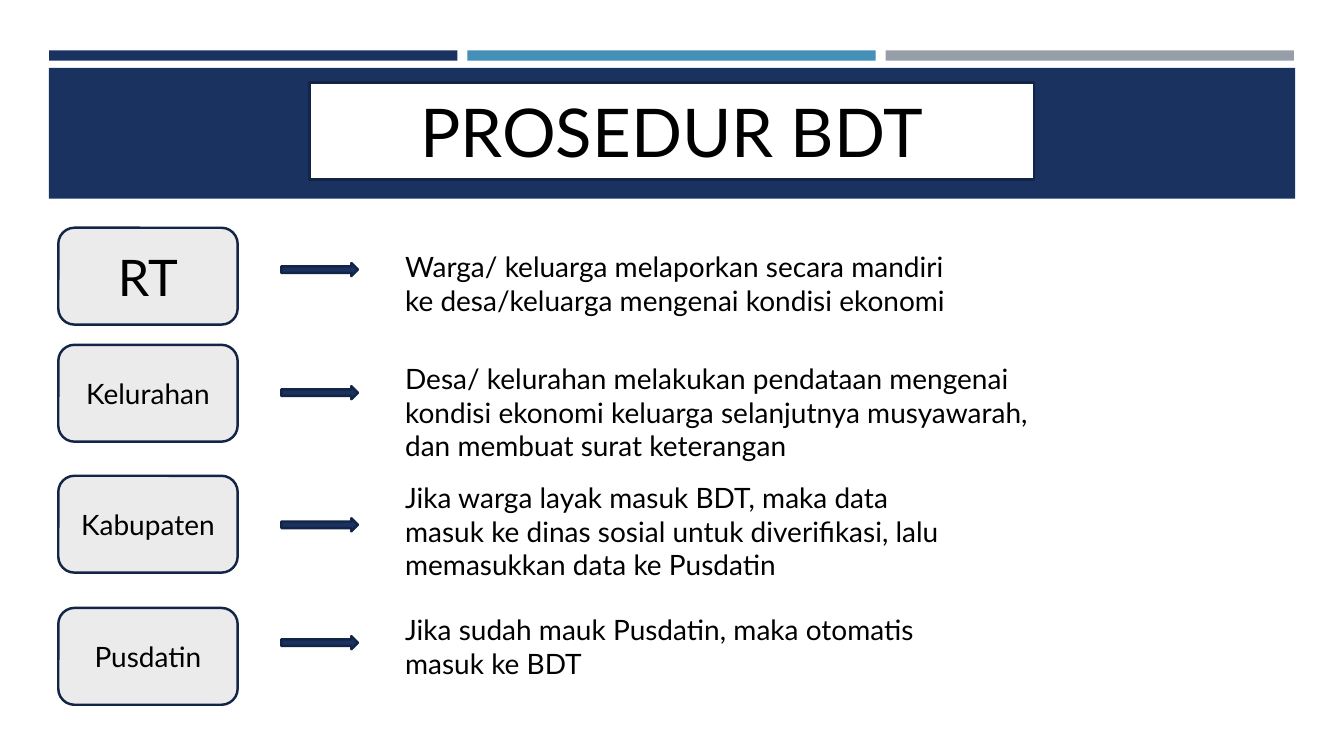
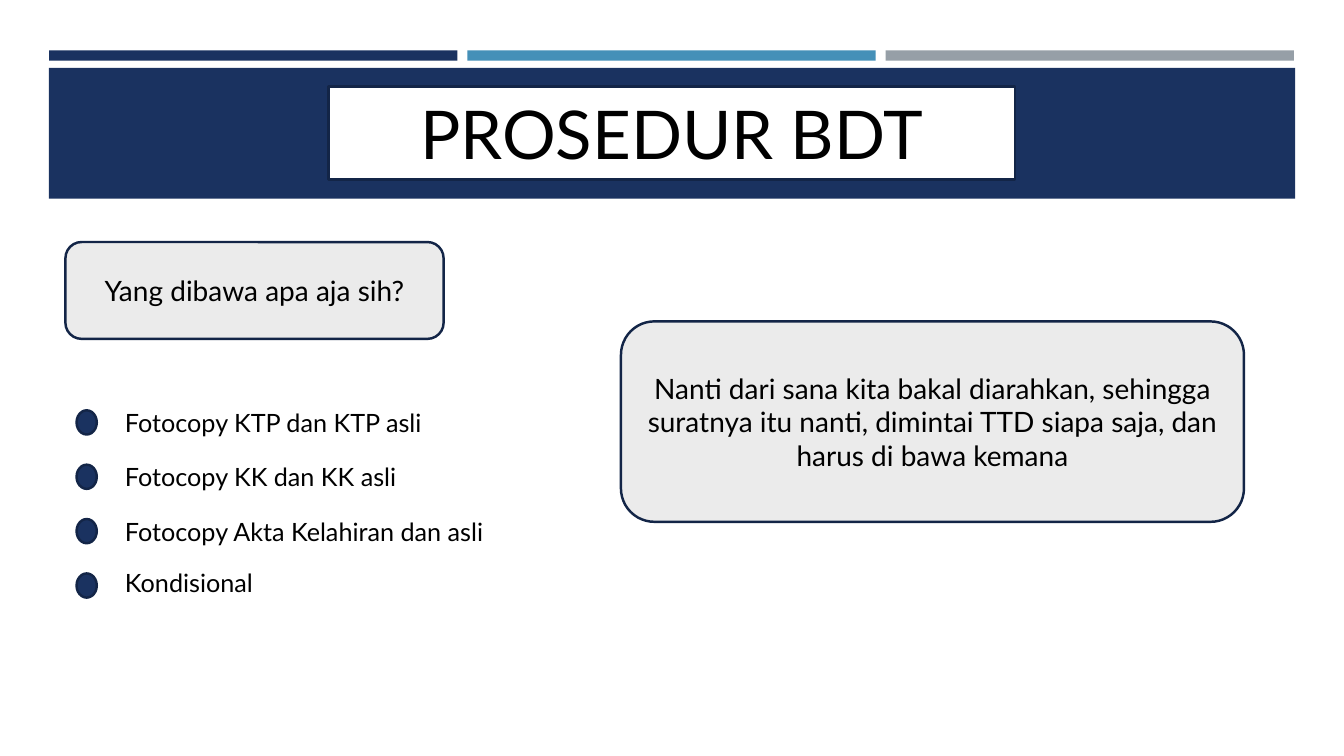
from dataclasses import dataclass

from pptx import Presentation
from pptx.dml.color import RGBColor
from pptx.enum.shapes import MSO_SHAPE
from pptx.enum.text import MSO_ANCHOR, PP_ALIGN
from pptx.util import Cm, Pt

RECTANGLE = MSO_SHAPE.RECTANGLE
ROUNDED = MSO_SHAPE.ROUNDED_RECTANGLE
RIGHT_ARROW = MSO_SHAPE.RIGHT_ARROW
DOT = MSO_SHAPE.FLOWCHART_CONNECTOR
LEFT, CENTER = PP_ALIGN.LEFT, PP_ALIGN.CENTER
TOP, MIDDLE = MSO_ANCHOR.TOP, MSO_ANCHOR.MIDDLE
BLANK_LAYOUT = 6


@dataclass(frozen=True)
class Theme:
    navy: str = "1A3260"
    blue: str = "4590B8"
    gray: str = "969FA7"
    panel: str = "EBEBEB"
    white: str = "FFFFFF"
    ink: str = "000000"
    outline: str = "132547"
    font: str = "Lato"
    title_size: int = 48
    large_size: int = 36
    body_size: int = 20
    item_size: int = 18
    outline_width: float = 1.75


THEME = Theme()

TITLE = "PROSEDUR BDT"
STEPS = [
    ("RT", THEME.large_size, 5.74, 6.63, 6.17, 14.4,
     "Warga/ keluarga melaporkan secara mandiri ke desa/keluarga mengenai kondisi ekonomi"),
    ("Kelurahan", THEME.body_size, 8.69, 9.73, 8.99, 17,
     "Desa/ kelurahan melakukan pendataan mengenai kondisi ekonomi keluarga selanjutnya "
     "musyawarah, dan membuat surat keterangan"),
    ("Kabupaten", THEME.body_size, 11.99, 13.06, 11.99, 14.4,
     "Jika warga layak masuk BDT, maka data masuk ke dinas sosial untuk diverifikasi, lalu "
     "memasukkan data ke Pusdatin"),
    ("Pusdatin", THEME.body_size, 15.32, 16.03, 15.32, 14.4,
     "Jika sudah mauk Pusdatin, maka otomatis masuk ke BDT"),
]
DOCUMENTS = [
    ("Fotocopy KTP dan KTP asli", 10.13),
    ("Fotocopy KK dan KK asli", 11.5),
    ("Fotocopy Akta Kelahiran dan asli", 12.88),
    ("Kondisional", 14.17),
]
QUESTION = "Yang dibawa apa aja sih?"
GUIDANCE = ("Nanti dari sana kita bakal diarahkan, sehingga suratnya itu nanti, "
            "dimintai TTD siapa saja, dan harus di bawa kemana")


def write_text(shape, text, size=THEME.body_size, align=LEFT, anchor=TOP):
    frame = shape.text_frame
    frame.word_wrap = True
    frame.vertical_anchor = anchor
    para = frame.paragraphs[0]
    para.alignment = align
    span = para.add_run()
    span.text = text
    span.font.name = THEME.font
    span.font.size = Pt(size)
    span.font.color.rgb = RGBColor.from_string(THEME.ink)


def add_block(page, kind, left, top, width, height, fill, outlined=True):
    block = page.shapes.add_shape(kind, Cm(left), Cm(top), Cm(width), Cm(height))
    block.shadow.inherit = False
    block.fill.solid()
    block.fill.fore_color.rgb = RGBColor.from_string(fill)
    if outlined:
        block.line.color.rgb = RGBColor.from_string(THEME.outline)
        block.line.width = Pt(THEME.outline_width)
    else:
        block.line.fill.background()
    return block


def add_panel(page, text, left, top, width, height, size=THEME.body_size):
    panel = add_block(page, ROUNDED, left, top, width, height, THEME.panel)
    write_text(panel, text, size=size, align=CENTER, anchor=MIDDLE)


def add_label(page, text, left, top, width, height, size=THEME.body_size):
    box = page.shapes.add_textbox(Cm(left), Cm(top), Cm(width), Cm(height))
    write_text(box, text, size=size)


def add_page(deck, title_left, title_top, title_width, title_height):
    page = deck.slides.add_slide(deck.slide_layouts[BLANK_LAYOUT])
    for index, color in enumerate((THEME.navy, THEME.blue, THEME.gray)):
        add_block(page, RECTANGLE, 1.24 + index * 10.54, 1.27, 10.29, 0.26, color, outlined=False)
    add_block(page, RECTANGLE, 1.23, 1.71, 31.41, 3.3, THEME.navy, outlined=False)
    title = add_block(page, RECTANGLE, title_left, title_top, title_width, title_height, THEME.white)
    write_text(title, TITLE, size=THEME.title_size, align=CENTER, anchor=MIDDLE)
    return page


def add_steps_page(deck):
    page = add_page(deck, 7.8, 2.08, 18.26, 2.44)
    for name, size, panel_top, arrow_top, text_top, text_width, text in STEPS:
        add_panel(page, name, 1.47, panel_top, 4.52, 2.44, size=size)
        add_block(page, RIGHT_ARROW, 7.09, arrow_top, 1.93, 0.33, THEME.navy)
        add_label(page, text, 9.96, text_top, text_width, 2.82)


def add_documents_page(deck):
    page = add_page(deck, 8.28, 2.18, 17.3, 2.34)
    add_panel(page, QUESTION, 1.65, 6.1, 9.53, 2.44)
    for index, (text, text_top) in enumerate(DOCUMENTS):
        add_block(page, DOT, 1.93, 10.34 + index * 1.37, 0.51, 0.61, THEME.navy)
        add_label(page, text, 2.9, text_top, 11, 1.02, size=THEME.item_size)
    add_panel(page, GUIDANCE, 15.65, 8.1, 15.7, 5.05)


def main():
    deck = Presentation()
    deck.slide_width = Cm(33.87)
    deck.slide_height = Cm(19.05)
    add_steps_page(deck)
    add_documents_page(deck)
    deck.save("out.pptx")


if __name__ == "__main__":
    main()
